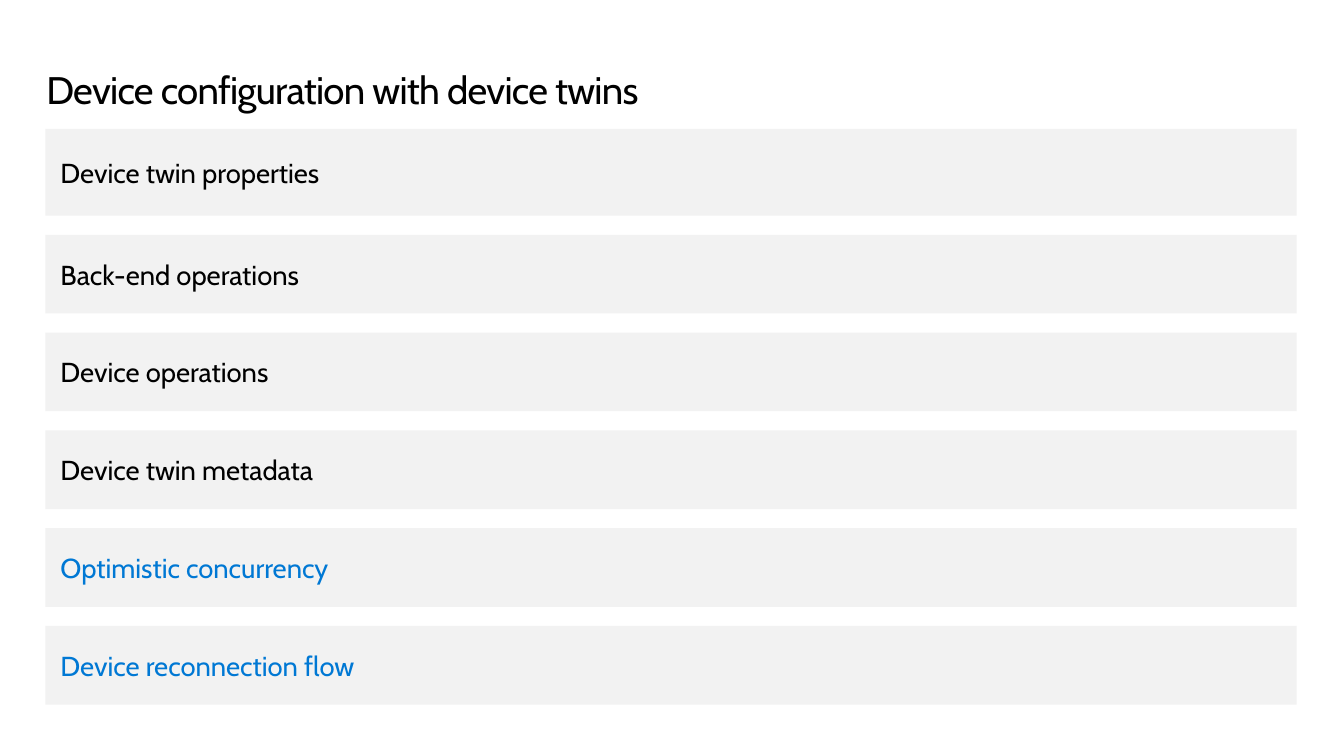
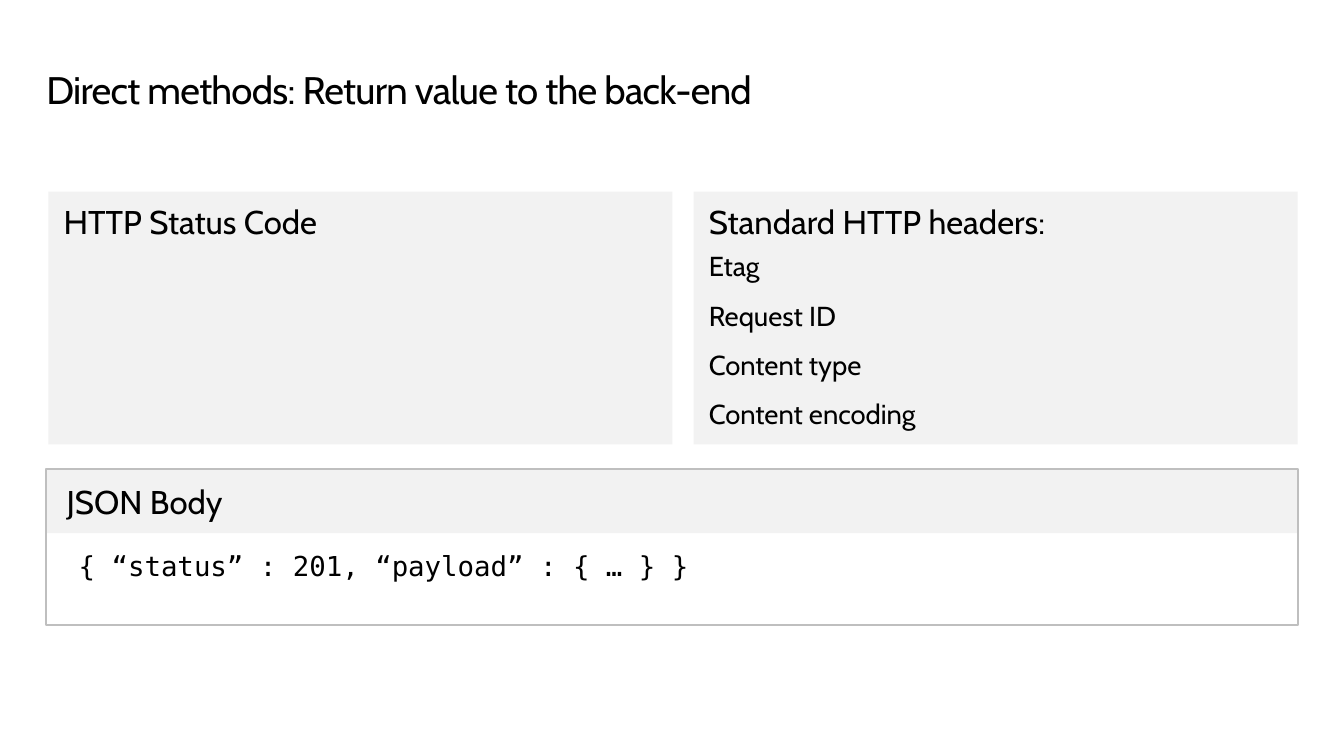
from pptx import Presentation
from pptx.dml.color import RGBColor
from pptx.enum.shapes import MSO_SHAPE
from pptx.enum.text import MSO_ANCHOR, MSO_AUTO_SIZE, PP_ALIGN
from pptx.util import Inches, Pt

BLACK = RGBColor(0x00, 0x00, 0x00)
BLUE = RGBColor(0x00, 0x78, 0xD4)
PANEL = RGBColor(0xF2, 0xF2, 0xF2)
BORDER = RGBColor(0xBF, 0xBF, 0xBF)
FONT = "Cabin"
MONO = "DejaVu Sans Mono"
BODY = 19.6
HEADING = 23.5
WIDTH = 12.41

prs = Presentation()
prs.slide_width = Inches(13.33)
prs.slide_height = Inches(7.5)


def add_titled_slide(title):
    s = prs.slides.add_slide(prs.slide_layouts[5])
    sp = s.shapes.title
    sp.left, sp.top = Inches(0.46), Inches(0.68)
    sp.width, sp.height = Inches(WIDTH), Inches(0.44)
    tf = sp.text_frame
    tf.margin_left = tf.margin_top = tf.margin_right = tf.margin_bottom = 0
    tf.word_wrap = True
    tf.auto_size = MSO_AUTO_SIZE.SHAPE_TO_FIT_TEXT
    tf.vertical_anchor = MSO_ANCHOR.TOP
    p = tf.paragraphs[0]
    p.alignment = PP_ALIGN.LEFT
    p.line_spacing = Pt(31.4)
    r = p.add_run()
    r.text = title
    r.font.name, r.font.size = FONT, Pt(27.4)
    r.font.color.rgb = BLACK
    r._r.get_or_add_rPr().set("spc", "-50")
    return s


def add_box(s, x, y, w, h, lines, size=BODY, color=BLACK, font=FONT,
            fill=PANEL, anchor=MSO_ANCHOR.TOP, margins=(0.15, 0.1)):
    sp = s.shapes.add_shape(MSO_SHAPE.RECTANGLE, Inches(x), Inches(y), Inches(w), Inches(h))
    sp.shadow.inherit = False
    if fill is None:
        sp.fill.background()
        sp.line.color.rgb = BORDER
        sp.line.width = Pt(1.5)
    else:
        sp.fill.solid()
        sp.fill.fore_color.rgb = fill
        sp.line.fill.background()
    tf = sp.text_frame
    tf.word_wrap = True
    tf.vertical_anchor = anchor
    tf.margin_left = tf.margin_right = Inches(margins[0])
    tf.margin_top = tf.margin_bottom = Inches(margins[1])
    for i, line in enumerate(lines):
        p = tf.add_paragraph() if i else tf.paragraphs[0]
        p.alignment = PP_ALIGN.LEFT
        if i:
            p.space_before = p.space_after = Pt(5.9)
        r = p.add_run()
        r.text = line
        r.font.name = font
        r.font.size = Pt(BODY if i else size)
        r.font.color.rgb = color
    return sp


s = add_titled_slide("Device configuration with device twins")
topics = [
    ("Device twin properties", BLACK),
    ("Back-end operations", BLACK),
    ("Device operations", BLACK),
    ("Device twin metadata", BLACK),
    ("Optimistic concurrency", BLUE),
    ("Device reconnection flow", BLUE),
]
gap = 0.19
top = 1.28
for i, (topic, color) in enumerate(topics):
    height = 0.78 if i else 0.86
    add_box(s, 0.45, top, WIDTH, height, [topic], color=color, anchor=MSO_ANCHOR.MIDDLE)
    top += height + gap

s = add_titled_slide("Direct methods: Return value to the back-end")
headers = ["Standard HTTP headers:", "Etag", "Request ID", "Content type", "Content encoding"]
add_box(s, 0.48, 1.9, 6.19, 2.51, ["HTTP Status Code"], size=HEADING)
add_box(s, 6.88, 1.9, 5.99, 2.51, headers, size=HEADING)
add_box(s, 0.46, 4.65, WIDTH, 0.64, ["JSON Body"], size=HEADING,
        anchor=MSO_ANCHOR.MIDDLE, margins=(0.2, 0.15))
frame = add_box(s, 0.46, 4.65, WIDTH, 1.55, ["{ “status” : 201, “payload” : { … } }"],
                font=MONO, fill=None, margins=(0.32, 0.15))
frame.text_frame.margin_top = Inches(0.8)

prs.save("out.pptx")
